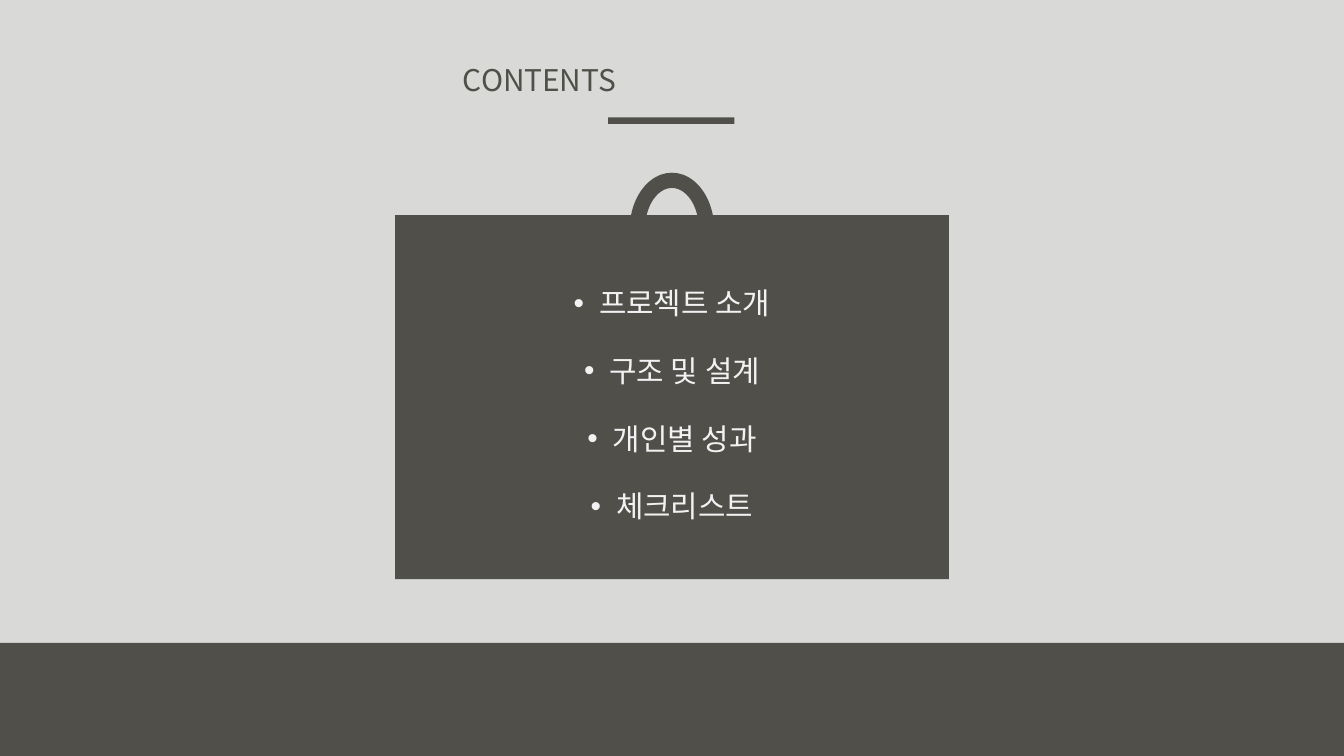
from dataclasses import dataclass
from typing import NamedTuple

from lxml.etree import SubElement as Sub
from pptx import Presentation
from pptx.dml.color import RGBColor as Rgb
from pptx.enum.shapes import MSO_SHAPE as Kind
from pptx.enum.text import MSO_ANCHOR as Anchor, MSO_AUTO_SIZE as Fit, PP_ALIGN as Align
from pptx.oxml.ns import qn
from pptx.util import Inches, Pt

WIDE = Inches(10)
HIGH = WIDE * 9 // 16
CELL = WIDE // 100


@dataclass(frozen=True)
class Theme:
    """Colours, font and type sizes."""
    back: Rgb = Rgb.from_string("D9DAD8")
    dark: Rgb = Rgb.from_string("504F4A")
    light: Rgb = Rgb.from_string("F2F2F2")
    font: str = "Noto Sans CJK KR"
    size: Pt = Pt(16)
    gap: Pt = Pt(17.1)
    hang: Inches = Inches(0.19)


class Box(NamedTuple):
    """A place on the slide, in grid columns and rows."""
    col: float
    row: float
    cols: float
    rows: float

    def place(self) -> dict[str, int]:
        """Give the place as lengths."""
        names = ("left", "top", "width", "height")
        return {name: round(cells * CELL) for name, cells in zip(names, self)}


class Part(NamedTuple):
    """A plain dark shape."""
    kind: Kind
    box: Box
    bends: tuple[float, ...] = ()


THEME = Theme()
PARTS = (
    Part(Kind.RECTANGLE, Box(29.4, 16, 41.2, 27.1)),
    Part(Kind.BLOCK_ARC, Box(46.85, 12.85, 6.3, 8.5), (108, 0, 0.18)),
    Part(Kind.RECTANGLE, Box(0, 47.83, 100, 8.42)),
    Part(Kind.RECTANGLE, Box(45.25, 8.73, 9.4, 0.5)),
)
HEAD = Box(33.45, 4.1, 33.1, 3.7)
LIST = Box(31.1, 20.7, 37.8, 18.9)
TOPICS = ("프로젝트 소개", "구조 및 설계", "개인별 성과", "체크리스트")


def put(item, values: dict) -> None:
    """Set each named value on an item."""
    for name, value in values.items():
        setattr(item, name, value)


def draw(slide, part: Part) -> None:
    """Draw one dark shape."""
    shape = slide.shapes.add_shape(part.kind, *part.box.place().values())
    for i, bend in enumerate(part.bends):
        shape.adjustments[i] = bend
    shape.shadow.inherit = False
    shape.fill.solid()
    shape.fill.fore_color.rgb = THEME.dark
    shape.line.fill.background()


def write(slide, holder, box: Box, lines: tuple[str, ...], ink: Rgb, align: Align) -> None:
    """Move a placeholder to the front and fill it with lines."""
    put(holder, box.place())
    slide.shapes._spTree.append(holder._element)
    frame = holder.text_frame
    frame.text = "\n".join(lines)
    put(frame, {"word_wrap": True, "auto_size": Fit.NONE, "vertical_anchor": Anchor.TOP})
    for para in frame.paragraphs:
        put(para, {"alignment": align, "space_before": Pt(0), "space_after": THEME.gap})
        run = para.runs[0]
        put(run.font, {"name": THEME.font, "size": THEME.size})
        run.font.color.rgb = ink
        Sub(run._r.get_or_add_rPr(), qn("a:ea"), typeface=THEME.font)


def mark(holder) -> None:
    """Give each line a hanging round bullet."""
    for para in holder.text_frame.paragraphs:
        form = para._p.get_or_add_pPr()
        form.set("marL", str(THEME.hang))
        form.set("indent", str(-THEME.hang))
        Sub(form, qn("a:buFont"), typeface="Arial")
        Sub(form, qn("a:buChar"), char="•")


def main() -> None:
    """Build and save the contents slide."""
    deck = Presentation()
    put(deck, {"slide_width": WIDE, "slide_height": HIGH})
    slide = deck.slides.add_slide(deck.slide_layouts[1])
    slide.background.fill.solid()
    slide.background.fill.fore_color.rgb = THEME.back
    head, body = slide.placeholders
    for part in PARTS:
        draw(slide, part)
    write(slide, head, HEAD, ("CONTENTS",), THEME.dark, Align.JUSTIFY)
    write(slide, body, LIST, TOPICS, THEME.light, Align.CENTER)
    mark(body)
    deck.save("out.pptx")


if __name__ == "__main__":
    main()
